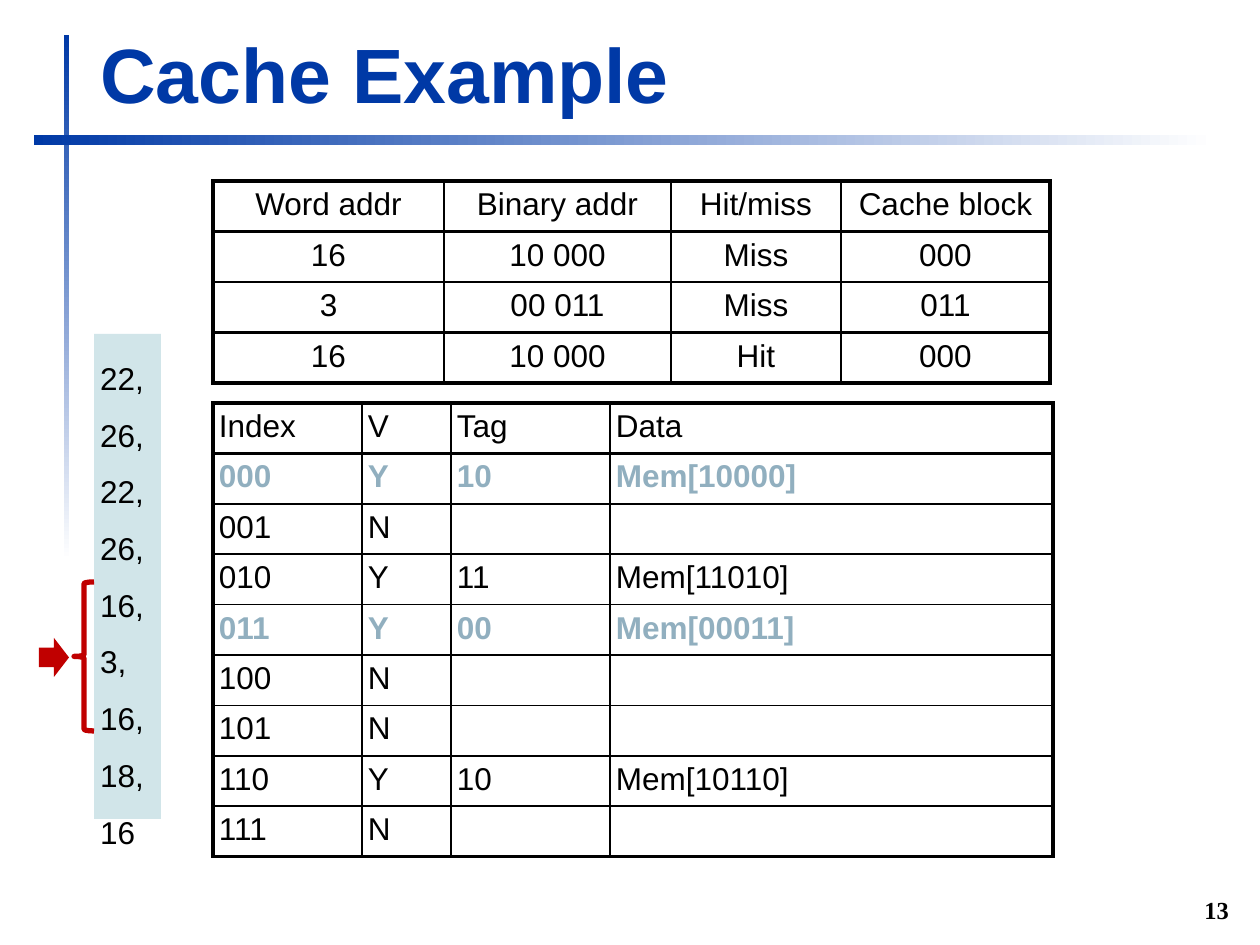
from pptx import Presentation
from pptx.dml.color import RGBColor
from pptx.enum.shapes import MSO_SHAPE
from pptx.enum.text import MSO_ANCHOR, PP_ALIGN
from pptx.oxml import parse_xml
from pptx.oxml.ns import nsdecls
from pptx.util import Emu, Pt
from lxml.etree import SubElement

COLORS = {"ink": "000000", "blue": "0039A6", "white": "FFFFFF",
          "hot": "91AFBF", "pale": "9FCAD3", "red": "C00000"}
NS = "{http://schemas.openxmlformats.org/drawingml/2006/main}"
TITLE = "Cache Example"
NUMBER = "13"
WORDS = ["22,", "26,", "22,", "26,", "16,", "3,", "16,", "18,", "16"]
LOOKUPS = [
    ("Word addr", "Binary addr", "Hit/miss", "Cache block"),
    ("16", "10 000", "Miss", "000"),
    ("3", "00 011", "Miss", "011"),
    ("16", "10 000", "Hit", "000"),
]
BLOCKS = [
    ("Index", "V", "Tag", "Data"),
    ("000", "Y", "10", "Mem[10000]"),
    ("001", "N", "", ""),
    ("010", "Y", "11", "Mem[11010]"),
    ("011", "Y", "00", "Mem[00011]"),
    ("100", "N", "", ""),
    ("101", "N", "", ""),
    ("110", "Y", "10", "Mem[10110]"),
    ("111", "N", "", ""),
]
HOT_ROWS = (1, 4)
BARS = [((64, 35, 5, 525), 90), ((34, 135, 1181, 10), 180)]
OUTER = 2.25


def px(n):
    return Emu(round(n * 914400 / 126))


def rgb(name):
    return RGBColor.from_string(COLORS[name])


def put(frame, lines, size=18, color="ink", bold=False, font="Arial",
        align=PP_ALIGN.LEFT, anchor=MSO_ANCHOR.TOP, wrap=True, gap=None):
    frame.word_wrap = wrap
    frame.vertical_anchor = anchor
    frame.margin_left = frame.margin_right = px(6)
    frame.margin_top = frame.margin_bottom = px(6)
    for i, line in enumerate(lines):
        para = frame.add_paragraph() if i else frame.paragraphs[0]
        para.alignment = align
        if gap:
            para.line_spacing = gap
        run = para.add_run()
        run.text = line
        run.font.size, run.font.bold, run.font.name = Pt(size), bold, font
        run.font.color.rgb = rgb(color)


def add_box(slide, kind, box):
    """Add a preset shape without shadow or line."""
    shape = slide.shapes.add_shape(kind, *map(px, box))
    shape.shadow.inherit = False
    shape.line.fill.background()
    return shape


def add_bar(slide, box, angle):
    bar = add_box(slide, MSO_SHAPE.RECTANGLE, box)
    bar.fill.gradient()
    bar.fill.gradient_angle = angle
    for stop, place, name in zip(bar.fill.gradient_stops, (0, 1), ("white", "blue")):
        stop.position = place
        stop.color.rgb = rgb(name)


def add_note(slide, box, text, **form):
    put(slide.shapes.add_textbox(*map(px, box)).text_frame, [text], **form)


def set_edges(cell, widths):
    props = cell._tc.get_or_add_tcPr()
    for side, width in zip("LRTB", widths):
        props.append(parse_xml(
            f'<a:ln{side} {nsdecls("a")} w="{Pt(width)}"><a:solidFill>'
            f'<a:srgbClr val="{COLORS["ink"]}"/></a:solidFill></a:ln{side}>'))


def add_grid(slide, rows, left, top, cols, height, rule, align, hot=()):
    """Add a table; rule is the width of the lines between body rows."""
    last, end = len(rows) - 1, len(cols) - 1
    frame = slide.shapes.add_table(len(rows), len(cols), px(left), px(top),
                                   px(sum(cols)), px(height))
    table = frame.table
    table.first_row = table.horz_banding = False
    for col, width in zip(table.columns, cols):
        col.width = px(width)
    for r, row in enumerate(rows):
        table.rows[r].height = px(height / len(rows))
        above = OUTER if r == 0 else 1.5 if r == 1 else rule
        below = OUTER if r == last else 1.5 if r == 0 else rule
        for c, text in enumerate(row):
            cell = table.cell(r, c)
            set_edges(cell, (1 if c else OUTER, OUTER if c == end else 1,
                             above, below))
            cell.fill.background()
            cell.margin_left = cell.margin_right = px(6)
            cell.margin_top = cell.margin_bottom = px(6)
            if text:
                put(cell.text_frame, [text], align=align, bold=r in hot,
                    color="hot" if r in hot else "ink")


def main():
    deck = Presentation()
    deck.slide_width, deck.slide_height = px(1260), px(945)
    slide = deck.slides.add_slide(deck.slide_layouts[6])

    for box, angle in BARS:
        add_bar(slide, box, angle)
    add_note(slide, (1193, 890, 42, 40), NUMBER, size=14, bold=True, wrap=False,
             font="Times New Roman", align=PP_ALIGN.RIGHT, anchor=MSO_ANCHOR.BOTTOM)
    add_note(slide, (94, 20, 1138, 105), TITLE, size=44, bold=True, color="blue",
             anchor=MSO_ANCHOR.BOTTOM)

    add_grid(slide, BLOCKS, 213, 403, (149, 89, 159, 443), 454, 1,
             PP_ALIGN.LEFT, HOT_ROWS)
    add_grid(slide, LOOKUPS, 213, 181, (231, 227, 170, 209), 202, 1.5,
             PP_ALIGN.CENTER)

    strip = add_box(slide, MSO_SHAPE.RECTANGLE, (94, 334, 67, 485))
    strip.fill.solid()
    strip.fill.fore_color.rgb = rgb("pale")
    shade = strip._element.spPr.find(f"{NS}solidFill/{NS}srgbClr")
    SubElement(shade, f"{NS}alpha", val="48000")
    put(strip.text_frame, WORDS, wrap=False, gap=1.5)

    arrow = add_box(slide, MSO_SHAPE.RIGHT_ARROW, (39, 638, 30, 39))
    arrow.fill.solid()
    arrow.fill.fore_color.rgb = rgb("red")

    brace = add_box(slide, MSO_SHAPE.LEFT_BRACE, (74, 582, 20, 149))
    brace.fill.background()
    brace.line.color.rgb = rgb("red")
    brace.line.width = Pt(3)

    deck.save("out.pptx")


if __name__ == "__main__":
    main()
